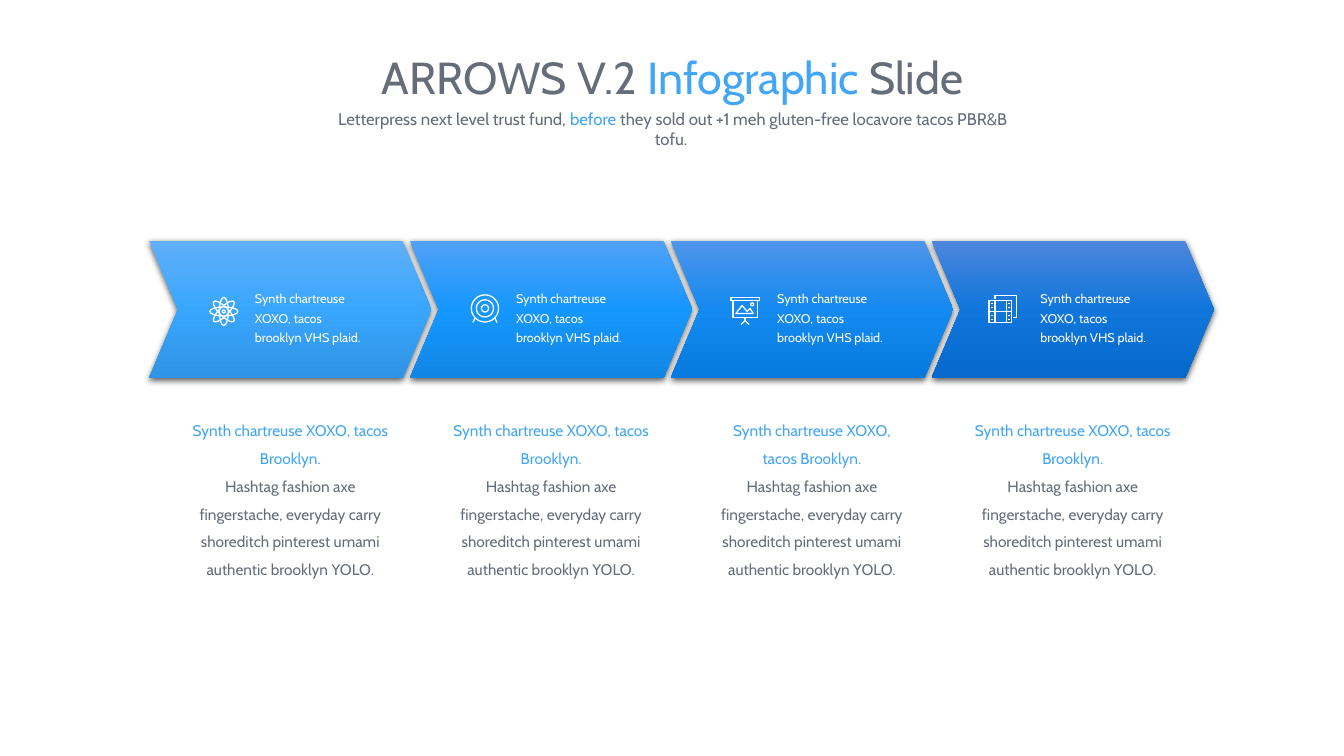
from copy import deepcopy
from math import cos, pi, sin

from lxml.etree import SubElement
from pptx import Presentation
from pptx.dml.color import RGBColor
from pptx.enum.shapes import MSO_SHAPE
from pptx.enum.text import MSO_ANCHOR, MSO_AUTO_SIZE, PP_ALIGN
from pptx.oxml.ns import qn
from pptx.util import Inches, Pt

COLORS = {"gray": "656D78", "blue": "42A5F5", "white": "FFFFFF", "shadow": "000000"}
FORMATS = {
    "title": {"size": Pt(32)},
    "subtitle": {"size": Pt(12)},
    "column": {"size": Pt(11)},
    "label": {"size": Pt(9)},
}
PITCH = 7.76 / 3


def rgb(hex_color):
    """Turn a hex string into a colour."""
    return RGBColor.from_string(hex_color)


def ellipse(cx, cy, w, h, turn=0.0, n=16):
    """Return the closed contour of a turned ellipse."""
    points = []
    for k in range(n):
        u, v = w / 2 * cos(2 * pi * k / n), h / 2 * sin(2 * pi * k / n)
        points.append((cx + u * cos(turn) - v * sin(turn),
                       cy + u * sin(turn) + v * cos(turn)))
    return points, True


def box(left, top, w, h):
    """Return the closed contour of a rectangle."""
    return [(left, top), (left + w, top), (left + w, top + h), (left, top + h)], True


def line(*points):
    """Return an open contour."""
    return list(points), False


def atom():
    """Return the contours of an atom icon."""
    return [ellipse(0, 0, 0.28, 0.09, k * pi / 4) for k in range(4)] + [
        ellipse(0, 0, 0.03, 0.03, n=8)]


def target():
    """Return the contours of a target icon."""
    return [ellipse(0, -0.01, d, d, n=24) for d in (0.27, 0.17, 0.07)] + [
        line((side * 0.1, 0.09), (side * 0.12, 0.13)) for side in (-1, 1)]


def board():
    """Return the contours of a presentation board icon."""
    mountain = [(-0.09, 0.03), (-0.03, -0.05), (0.02, 0.01), (0.05, -0.02), (0.08, 0.03)]
    return [box(-0.14, -0.13, 0.28, 0.03), box(-0.12, -0.1, 0.24, 0.17),
            ellipse(0.07, -0.06, 0.03, 0.03, n=8), (mountain, True),
            line((0, 0.07), (0, 0.1)), line((-0.04, 0.14), (0, 0.1), (0.04, 0.14))]


def film():
    """Return the contours of a film frame icon."""
    back = line((-0.08, -0.1), (-0.08, -0.14), (0.13, -0.14), (0.13, 0.08), (0.1, 0.08))
    holes = [line((x - 0.01, y), (x + 0.01, y))
             for x in (-0.11, 0.06) for y in (-0.06, -0.02, 0.06, 0.1)]
    edges = [line((x, -0.09), (x, 0.13)) for x in (-0.08, 0.03)]
    return [back, box(-0.14, -0.09, 0.22, 0.22), line((-0.14, 0.02), (0.08, 0.02)),
            *edges, *holes]


class InfographicSlide:
    """Holds the current slide and its style, and adds elements to it."""

    def __init__(self, prs):
        self.s = prs.slides.add_slide(prs.slide_layouts[0])
        self.shapes = self.s.shapes
        self.font = "Cabin"
        self.line_width = Pt(0.9)

    def start_group(self):
        """Send the next elements to a new group."""
        self.shapes = self.s.shapes.add_group_shape().shapes

    def fill_text(self, sp, kind, paragraphs, align=PP_ALIGN.CENTER, spacing=1.0):
        """Write paragraphs of (text, colour) runs into a shape."""
        tf = sp.text_frame
        frame = {"word_wrap": True, "vertical_anchor": MSO_ANCHOR.TOP,
                 "auto_size": MSO_AUTO_SIZE.SHAPE_TO_FIT_TEXT}
        for name, value in frame.items():
            setattr(tf, name, value)
        for i, runs in enumerate(paragraphs):
            p = tf.add_paragraph() if i else tf.paragraphs[0]
            layout = {"alignment": align, "line_spacing": spacing, "space_before": Pt(0)}
            for name, value in layout.items():
                setattr(p, name, value)
            for text, color in runs:
                r = p.add_run()
                r.text = text
                for name, value in {"name": self.font, **FORMATS[kind]}.items():
                    setattr(r.font, name, value)
                r.font.color.rgb = rgb(COLORS[color])

    def placeholder(self, index, frame, kind, runs):
        """Move and fill a placeholder of the layout."""
        sp = self.s.placeholders[index]
        for name, value in zip(("left", "top", "width", "height"), frame):
            setattr(sp, name, Inches(value))
        self.fill_text(sp, kind, [runs])

    def text(self, frame, kind, paragraphs, **options):
        """Add a text box."""
        sp = self.shapes.add_textbox(*map(Inches, frame))
        self.fill_text(sp, kind, paragraphs, **options)

    def chevron(self, frame, colors):
        """Add a chevron with a vertical gradient and a soft shadow."""
        sp = self.shapes.add_shape(MSO_SHAPE.CHEVRON, *map(Inches, frame))
        sp.adjustments[0] = 0.21
        sp.line.fill.background()
        sp.fill.gradient()
        sp.fill.gradient_angle = 270
        stops = sp.element.spPr.find(".//" + qn("a:gsLst"))
        stops.insert(1, deepcopy(stops[0]))
        for stop, position, color in zip(sp.fill.gradient_stops, (0, 0.5, 1), colors):
            stop.position = position
            stop.color.rgb = rgb(color)
        sp.shadow.inherit = False
        effects = sp.element.spPr.find(qn("a:effectLst"))
        shadow = SubElement(effects, qn("a:outerShdw"), blurRad=str(Pt(4.5)),
                            dist=str(Pt(1.5)), dir="5400000", rotWithShape="0")
        color = SubElement(shadow, qn("a:srgbClr"), val=COLORS["shadow"])
        SubElement(color, qn("a:alpha"), val="63000")

    def icon(self, x, y, contours):
        """Add one white outline made of contours around a centre."""
        builder = None
        for points, close in contours:
            start, *rest = [(Inches(x + dx), Inches(y + dy)) for dx, dy in points]
            if builder is None:
                builder = self.shapes.build_freeform(*start)
            else:
                builder.move_to(*start)
            builder.add_line_segments(rest, close=close)
        sp = builder.convert_to_shape()
        sp.shadow.inherit = False
        sp.fill.background()
        sp.line.width = self.line_width
        sp.line.color.rgb = rgb(COLORS["white"])


def main():
    """Build and save the slide."""
    prs = Presentation()
    prs.slide_width, prs.slide_height = Inches(13.33), Inches(7.5)
    slide = InfographicSlide(prs)
    slide.placeholder(0, (2.54, 0.44, 8.26, 0.64), "title", [
        ("ARROWS V.2 ", "gray"), ("Infographic ", "blue"), ("Slide", "gray")])
    slide.placeholder(1, (3.2, 1.03, 6.95, 0.3), "subtitle", [
        ("Letterpress next level trust fund, ", "gray"), ("before", "blue"),
        (" they sold out +1 meh gluten-free locavore tacos PBR&B tofu. ", "gray")])

    steps = (
        (("60AFF8", "39A6FE", "2F94E5"), atom, 2.22, 3.09, 2.43, 2.32),
        (("50A1F7", "1697FE", "1087E5"), target, 4.81, 3.07, 5.02, 2.32),
        (("4F95EA", "1489EF", "077ADF"), board, 7.39, 3.08, 7.61, 2.05),
        (("4D86DC", "1076DB", "0669CB"), film, 9.95, 3.07, 10.22, 2.18),
    )
    for i, (colors, *_) in enumerate(steps):
        slide.chevron((1.48 + PITCH * i, 2.39, 2.8, 1.36), colors)
    for i, (*_, width) in enumerate(steps):
        slide.text((2.88 + PITCH * i - width / 2, 4.04, width, 1.74), "column", [
            [("Synth chartreuse XOXO, tacos Brooklyn.", "blue")],
            [("Hashtag fashion axe fingerstache, everyday carry shoreditch "
              "pinterest umami authentic brooklyn YOLO.", "gray")]], spacing=1.5)
    for _, contours, icon_x, icon_y, label_x, _ in steps:
        slide.start_group()
        slide.text((label_x, 2.79, 1.25, 0.69), "label", [
            [("Synth chartreuse XOXO, tacos brooklyn VHS plaid.", "white")]],
            align=PP_ALIGN.LEFT, spacing=1.3)
        slide.icon(icon_x, icon_y, contours())
    prs.save("out.pptx")


if __name__ == "__main__":
    main()
